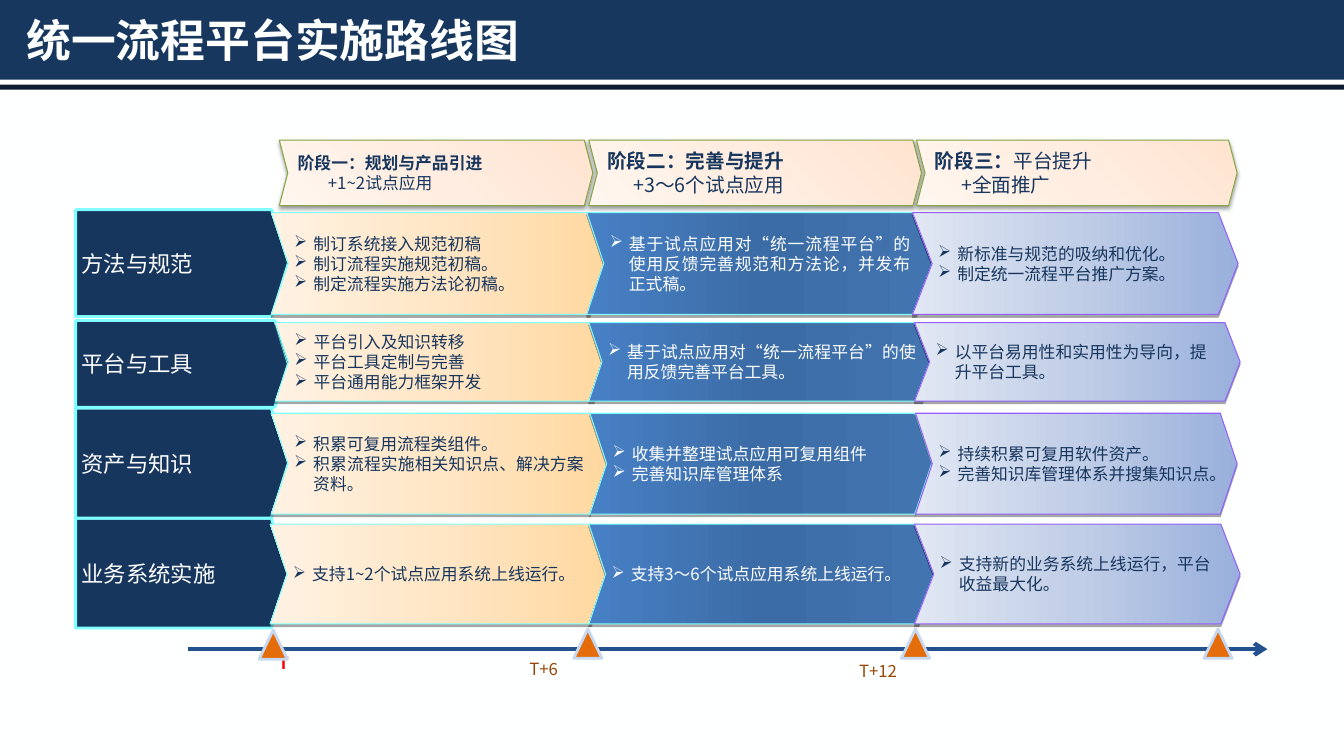
from dataclasses import dataclass

from pptx import Presentation
from pptx.dml.color import RGBColor
from pptx.enum.shapes import MSO_CONNECTOR, MSO_SHAPE
from pptx.enum.text import MSO_ANCHOR, MSO_AUTO_SIZE, PP_ALIGN
from pptx.oxml import parse_xml
from pptx.oxml.ns import nsdecls, qn
from pptx.oxml.xmlchemy import OxmlElement
from pptx.util import Inches, Pt

RECTANGLE = MSO_SHAPE.RECTANGLE
PENTAGON = MSO_SHAPE.PENTAGON
CHEVRON = MSO_SHAPE.CHEVRON
TRIANGLE = MSO_SHAPE.ISOSCELES_TRIANGLE
STRAIGHT = MSO_CONNECTOR.STRAIGHT
LEFT, JUSTIFY = PP_ALIGN.LEFT, PP_ALIGN.JUSTIFY
TOP, MIDDLE = MSO_ANCHOR.TOP, MSO_ANCHOR.MIDDLE
GROW = MSO_AUTO_SIZE.SHAPE_TO_FIT_TEXT


@dataclass(frozen=True)
class Theme:
    font: str = "Noto Sans CJK SC"
    paper: str = "FEFFFF"
    bar: str = "17375E"
    rule: str = "0C1B2F"
    navy: str = "17365E"
    cyan: str = "7FFFFF"
    violet: str = "9460FD"
    green: str = "86A644"
    axis: str = "23518D"
    marker: str = "E46C0A"
    marker_edge: str = "C6D9F1"
    tick: str = "984807"
    start: str = "FF0000"
    peach: tuple = ("FFE4D0", "FFEDE1", "FFF6EF")
    orange: tuple = ("FFD8A0", "FFE6C5", "FFF2E3")
    blue: tuple = ("4274AF", "3C6CA6", "4780C5")
    lilac: tuple = ("99B0DC", "C1CEE7", "E1E7F3")
    title_size: int = 32
    label_size: int = 16
    stage_size: int = 14
    body_size: int = 12


THEME = Theme()
TIGHT = (0.06, 0.03)
SWEEP = '<a:lin ang="10800000" scaled="0"/>'
GLOW = '<a:path path="circle"><a:fillToRect l="100000" b="100000"/></a:path>'

# Left, width, type size, second-line indent, lines made of (text, bold) spans
STAGES = [
    (2.77, 3.11, THEME.body_size, 0.3,
     [[("阶段一：规划与产品引进", True)], [("+1~2试点应用", False)]]),
    (5.84, 3.3, THEME.stage_size, 0.26,
     [[("阶段二：完善与提升", True)], [("+3～6个试点应用", False)]]),
    (9.09, 3.18, THEME.stage_size, 0.26,
     [[("阶段三：", True), ("平台提升", False)], [("+全面推广", False)]]),
]
# Fill, outline, text colour and alignment of each stage's column
COLUMNS = [
    (THEME.orange, THEME.cyan, THEME.navy, JUSTIFY),
    (THEME.blue, THEME.cyan, THEME.paper, JUSTIFY),
    (THEME.lilac, THEME.violet, THEME.navy, LEFT),
]
# Label, label top and height, cell top and height, (left, width, tip, items) per cell
TRACKS = [
    ("业务系统实施", 5.14, 1.09, 5.2, 0.99, [
        (2.68, 3.35, 0.168, ["支持1~2个试点应用系统上线运行。"]),
        (5.84, 3.44, 0.168, ["支持3～6个试点应用系统上线运行。"]),
        (9.07, 3.23, 0.193, ["支持新的业务系统上线运行，平台收益最大化。"])]),
    ("资产与知识", 4.05, 1.09, 4.1, 1, [
        (2.69, 3.33, 0.167, ["积累可复用流程类组件。",
                             "积累流程实施相关知识点、解决方案资料。"]),
        (5.85, 3.39, 0.167, ["收集并整理试点应用可复用组件", "完善知识库管理体系"]),
        (9.08, 3.19, 0.167, ["持续积累可复用软件资产。",
                             "完善知识库管理体系并搜集知识点。"])]),
    ("方法与规范", 2.08, 1.06, 2.11, 1.01, [
        (2.69, 3.33, 0.167, ["制订系统接入规范初稿", "制订流程实施规范初稿。",
                             "制定流程实施方法论初稿。"]),
        (5.82, 3.44, 0.167,
         ["基于试点应用对“统一流程平台”的使用反馈完善规范和方法论，并发布正式稿。"]),
        (9.05, 3.23, 0.193, ["新标准与规范的吸纳和优化。", "制定统一流程平台推广方案。"])]),
    ("平台与工具", 3.18, 0.86, 3.2, 0.78, [
        (2.73, 3.29, 0.168, ["平台引入及知识转移", "平台工具定制与完善",
                             "平台通用能力框架开发"]),
        (5.84, 3.44, 0.168, ["基于试点应用对“统一流程平台”的使用反馈完善平台工具。"]),
        (9.07, 3.23, 0.193, ["以平台易用性和实用性为导向，提升平台工具。"])]),
]
# Text, left, top, width, left margin, first-line indent, colour, bold
TICKS = [
    ("T+6", 4.96, 6.51, 1.38, 0.5, -0.27, THEME.tick, False),
    ("T+12", 8.23, 6.53, 1.38, 0.5, -0.27, THEME.tick, False),
    ("T", 2.53, 6.45, 0.69, 0.17, 0, THEME.start, True),
]
MARKERS = [(2.57, 6.25), (5.69, 6.24), (8.94, 6.24), (11.94, 6.24)]


def rgb(value):
    return RGBColor.from_string(value)


def write_para(para, spans, size, color, bold=False, align=LEFT, margin=0, indent=0,
               bullet=None):
    """Fill a paragraph with a string, or with (text, bold) spans."""
    para.alignment = align
    properties = para._p.get_or_add_pPr()
    properties.set("marL", str(Inches(margin)))
    properties.set("indent", str(Inches(indent)))
    if bullet:
        mark = OxmlElement("a:buChar")
        mark.set("char", bullet)
        properties.append(mark)
    if isinstance(spans, str):
        spans = [(spans, bold)]
    for text, is_bold in spans:
        span = para.add_run()
        span.text = text
        font = span.font
        font.size, font.bold, font.name = Pt(size), is_bold, THEME.font
        font.color.rgb = rgb(color)
        east_asian = OxmlElement("a:ea")
        east_asian.set("typeface", THEME.font)
        span._r.get_or_add_rPr().append(east_asian)


def write_paras(frame, lines, **style):
    for index, line in enumerate(lines):
        para = frame.add_paragraph() if index else frame.paragraphs[0]
        write_para(para, line, **style)


def set_frame(frame, anchor=MIDDLE, insets=TIGHT):
    frame.word_wrap = True
    frame.vertical_anchor = anchor
    frame.margin_left = frame.margin_right = Inches(insets[0])
    frame.margin_top = frame.margin_bottom = Inches(insets[1])
    return frame


def add_block(page, kind, box, fill, line=None, line_width=0.75, tip=None):
    block = page.shapes.add_shape(kind, *map(Inches, box))
    block.shadow.inherit = False
    if tip:
        block.adjustments[0] = tip
    block.fill.solid()
    block.fill.fore_color.rgb = rgb(fill)
    if line:
        block.line.color.rgb = rgb(line)
        block.line.width = Pt(line_width)
    else:
        block.line.fill.background()
    return block


def add_chevron(page, box, colors, line, tip, direction, shadow):
    """Add a gradient chevron; shadow is (opacity %, blur, distance)."""
    block = add_block(page, CHEVRON, box, colors[0], line, tip=tip)
    stops = "".join(f'<a:gs pos="{index * 50000}"><a:srgbClr val="{color}"/></a:gs>'
                    for index, color in enumerate(colors))
    gradient = parse_xml(f'<a:gradFill {nsdecls("a")} rotWithShape="1">'
                         f'<a:gsLst>{stops}</a:gsLst>{direction}</a:gradFill>')
    properties = block.element.spPr
    properties.replace(properties.find(qn("a:solidFill")), gradient)
    opacity, blur, distance = shadow
    properties.find(qn("a:effectLst")).append(parse_xml(
        f'<a:outerShdw {nsdecls("a")} blurRad="{Pt(blur)}" dist="{Pt(distance)}" '
        f'dir="5400000" rotWithShape="0"><a:srgbClr val="000000">'
        f'<a:alpha val="{opacity * 1000}"/></a:srgbClr></a:outerShdw>'))
    return block


def add_header(page, width, text):
    add_block(page, RECTANGLE, (0, 0, width, 0.79), THEME.bar)
    add_block(page, RECTANGLE, (0, 0.84, width, 0.05), THEME.rule)
    title = page.shapes.title
    title.left, title.top, title.width, title.height = map(Inches, (0.16, 0.09, 13.02, 0.6))
    title.element.getparent().append(title.element)  # in front of the bars
    write_paras(set_frame(title.text_frame, insets=(0.1, 0.05)), [text],
                size=THEME.title_size, color=THEME.paper, bold=True)


def add_stages(page, top, height):
    for left, width, size, inset, (name, scope) in STAGES:
        block = add_chevron(page, (left, top, width, height), THEME.peach, THEME.green,
                            0.13, GLOW, (38, 3.1, 1.6))
        frame = set_frame(block.text_frame, insets=(0.1, 0.05))
        write_para(frame.paragraphs[0], name, size, THEME.navy)
        write_para(frame.add_paragraph(), scope, size, THEME.navy, margin=inset)


def add_track(page, left, width, track):
    """Add one row: its label and a cell for each stage."""
    name, label_top, label_height, top, height, cells = track
    label = add_block(page, PENTAGON, (left, label_top, width, label_height), THEME.navy,
                      THEME.cyan, line_width=2, tip=0.155)
    write_paras(set_frame(label.text_frame), [name], size=THEME.label_size,
                color=THEME.paper)
    for (cell_left, cell_width, tip, items), column in zip(cells, COLUMNS):
        colors, line, color, align = column
        cell = add_chevron(page, (cell_left, top, cell_width, height), colors, line, tip,
                           SWEEP, (35, 0, 1.8))
        write_paras(set_frame(cell.text_frame), items, size=THEME.body_size, color=color,
                    align=align, margin=0.19, indent=-0.19, bullet="➢")


def add_timeline(page, left, right, middle):
    axis = page.shapes.add_connector(STRAIGHT, *map(Inches, (left, middle, right, middle)))
    axis.line.color.rgb = rgb(THEME.axis)
    axis.line.width = Pt(3)
    arrow = OxmlElement("a:tailEnd")
    arrow.set("type", "arrow")
    axis.line._get_or_add_ln().append(arrow)
    axis.element.spPr.append(OxmlElement("a:effectLst"))
    for text, tick_left, top, width, margin, indent, color, bold in TICKS:
        tick = page.shapes.add_textbox(*map(Inches, (tick_left, top, width, 0.27)))
        frame = set_frame(tick.text_frame, TOP)
        frame.auto_size = GROW
        write_paras(frame, [text], size=THEME.body_size, color=color, bold=bold,
                    margin=margin, indent=indent)
    for marker_left, top in MARKERS:
        add_block(page, TRIANGLE, (marker_left, top, 0.28, 0.29), THEME.marker,
                  THEME.marker_edge, line_width=2)


def main():
    deck = Presentation()
    deck.slide_width, deck.slide_height = Inches(13.33), Inches(7.5)
    page = deck.slides.add_slide(deck.slide_layouts[5])
    page.background.fill.solid()
    page.background.fill.fore_color.rgb = rgb(THEME.paper)
    add_header(page, 13.33, "统一流程平台实施路线图")
    add_stages(page, 1.39, 0.65)
    for track in TRACKS:
        add_track(page, 0.75, 2.11, track)
    add_timeline(page, 1.86, 12.57, 6.44)
    deck.save("out.pptx")


if __name__ == "__main__":
    main()
